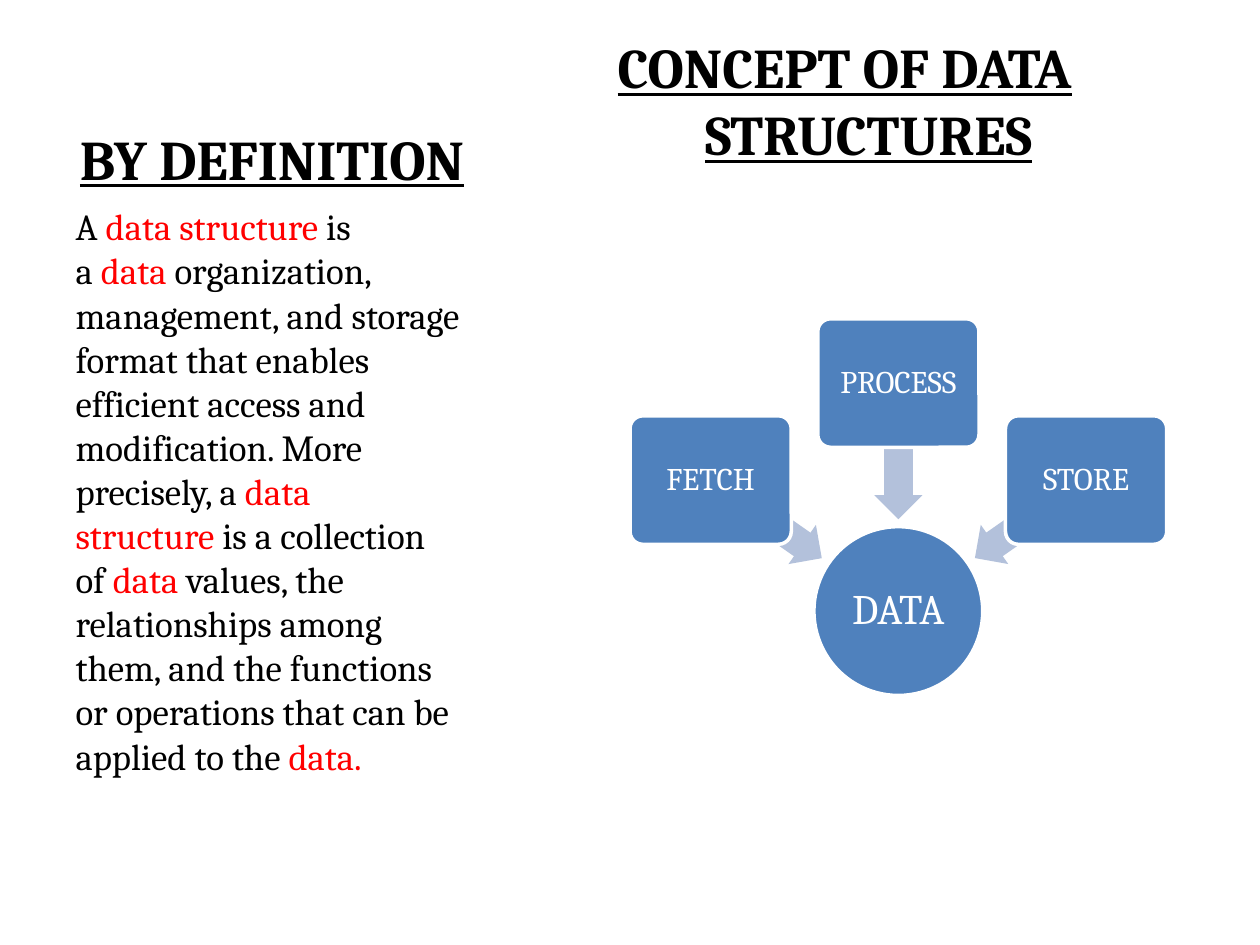
from pptx import Presentation
from pptx.dml.color import RGBColor
from pptx.enum.shapes import MSO_SHAPE as Shape
from pptx.enum.text import MSO_ANCHOR as Anchor, MSO_AUTO_SIZE as AutoSize, PP_ALIGN as Align
from pptx.oxml.ns import qn
from pptx.util import Inches, Pt
from lxml.etree import SubElement

BLACK, RED, WHITE, BLUE, PALE = "000000", "FF0000", "FFFFFF", "4F81BD", "B3C1DB"


def color(value):
    """Turn a hex string into a colour."""
    return RGBColor.from_string(value)


class SlideBuilder:
    """Hold the type style and the current page."""

    def __init__(self, page, font="Cambria"):
        """Keep the page and its font."""
        self.page = page
        self.font = font

    def add_span(self, para, text, size, ink, heading=False):
        """Add one formatted run."""
        span = para.add_run()
        span.text = text
        span.font.name = self.font
        span.font.size = Pt(size)
        span.font.color.rgb = color(ink)
        span.font.bold = heading
        span.font.underline = heading

    def fill_placeholder(self, index, place, spans, size, align, anchor=Anchor.TOP, heading=False):
        """Move a placeholder and write its runs."""
        box = self.page.placeholders[index]
        box.left, box.top, box.width, box.height = map(Inches, place)
        frame = box.text_frame
        frame.auto_size = AutoSize.NONE
        frame.vertical_anchor = anchor
        para = frame.paragraphs[0]
        para.alignment = align
        for text, ink in spans:
            self.add_span(para, text, size, ink, heading)
        return para

    def hang_indent(self, para, indent):
        """Give a paragraph a hanging indent without a bullet."""
        props = para._p.get_or_add_pPr()
        props.set("marL", str(Inches(indent)))
        props.set("indent", str(-Inches(indent)))
        SubElement(props, qn("a:buNone"))

    def add_figure(self, kind, place, fill, adjustments=(), rotation=0):
        """Add a flat preset shape."""
        figure = self.page.shapes.add_shape(kind, *map(Inches, place))
        figure.shadow.inherit = False
        figure.fill.solid()
        figure.fill.fore_color.rgb = color(fill)
        figure.line.fill.background()
        figure.rotation = rotation
        for index, value in enumerate(adjustments):
            figure.adjustments[index] = value
        return figure

    def add_node(self, kind, place, text, size, inset, adjustments=()):
        """Add a labelled node with a white outline."""
        node = self.add_figure(kind, place, BLUE, adjustments)
        node.line.color.rgb = color(WHITE)
        node.line.width = Pt(2)
        frame = node.text_frame
        frame.word_wrap = True
        frame.vertical_anchor = Anchor.MIDDLE
        frame.margin_left = frame.margin_right = Inches(inset)
        frame.margin_top = frame.margin_bottom = Inches(inset)
        para = frame.paragraphs[0]
        para.alignment = Align.CENTER
        para.line_spacing = 0.9
        self.add_span(para, text, size, WHITE)


deck = Presentation()
deck.slide_width, deck.slide_height = Inches(10), Inches(7.5)
page = deck.slides.add_slide(deck.slide_layouts[7])
builder = SlideBuilder(page)

builder.fill_placeholder(0, (0.5, 0.36, 3.32, 1.21), [("BY DEFINITION", BLACK)], 32,
                         Align.CENTER, Anchor.BOTTOM, heading=True)
concept = builder.fill_placeholder(1, (3.91, 0.21, 5.59, 6.49),
                                   [("CONCEPT OF DATA STRUCTURES", BLACK)], 32,
                                   Align.CENTER, heading=True)
builder.hang_indent(concept, 0.38)

definition = [
    ("A", BLACK),
    ("\u00a0data structure", RED),
    ("\u00a0is a", BLACK),
    ("\u00a0data", RED),
    ("\u00a0organization, management, and storage format that enables efficient access "
     "and modification. More precisely, a", BLACK),
    ("\u00a0data structure", RED),
    ("\u00a0is a collection of\u00a0", BLACK),
    ("data\u00a0", RED),
    ("values, the relationships among them, and the functions or operations "
     "that can be applied to the", BLACK),
    ("\u00a0data.", RED),
]
builder.fill_placeholder(2, (0.5, 1.57, 3.29, 5.13), definition, 21, Align.LEFT)

center = 7.13
hub, node_width, node_height = 1.34, 1.28, 1.02
arrow_width, arrow_height = 1.08, 0.38
builder.add_node(Shape.OVAL, (center - hub / 2, 4.18, hub, hub), "DATA", 24, 0.02)

operations = [("FETCH", -1, 3.3, 3.93, 215), ("PROCESS", 0, 2.53, 3.39, 270),
              ("STORE", 1, 3.3, 3.93, 325)]
for name, side, node_top, arrow_top, angle in operations:
    arrow_left = center + side * 1.05 - arrow_width / 2
    node_left = center + side * 1.49 - node_width / 2
    builder.add_figure(Shape.LEFT_ARROW, (arrow_left, arrow_top, arrow_width, arrow_height),
                       PALE, (0.6, 0.5), angle)
    builder.add_node(Shape.ROUNDED_RECTANGLE, (node_left, node_top, node_width, node_height),
                     name, 18, 0.04, (0.1,))

deck.save("out.pptx")
